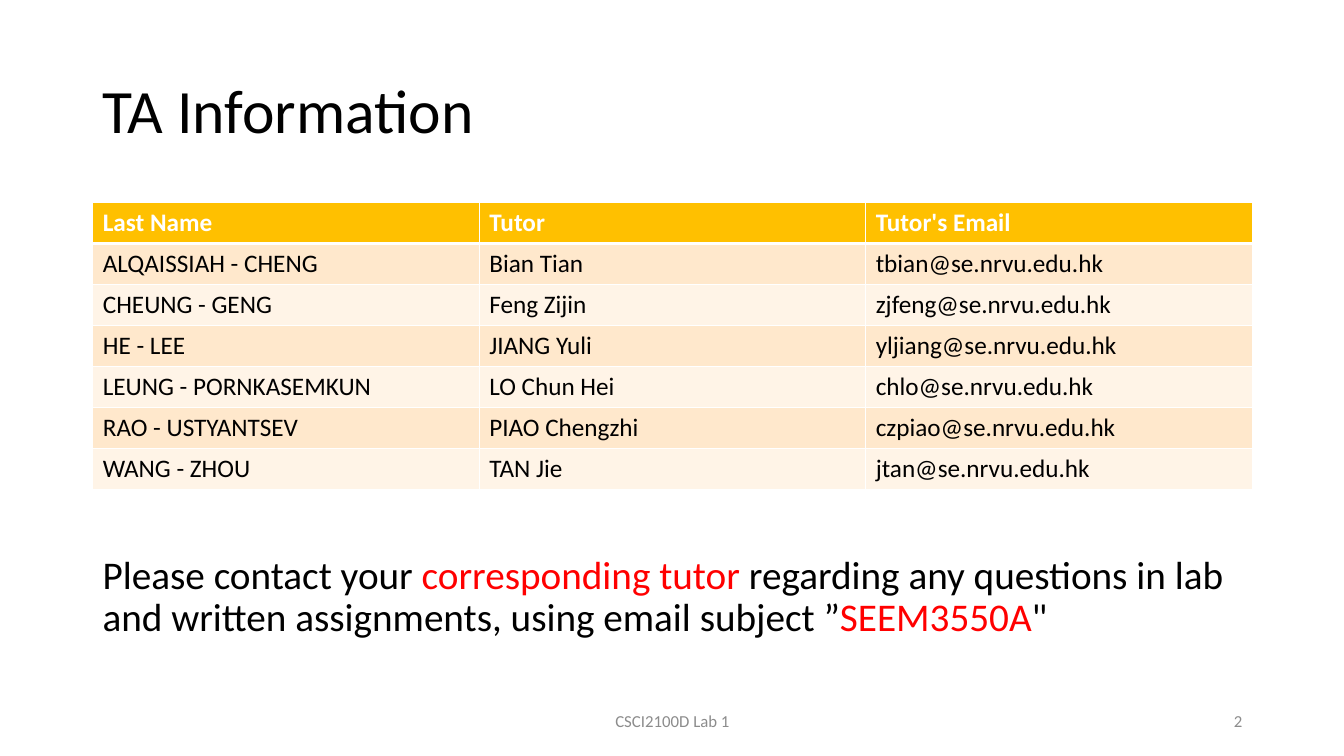
"""Build the TA Information slide with its tutor table and contact note."""
import pptx
import pptx.dml.color
import pptx.enum.text
import pptx.oxml
import pptx.oxml.ns
import pptx.util

Inches = pptx.util.Inches
Pt = pptx.util.Pt
RGBColor = pptx.dml.color.RGBColor
Align = pptx.enum.text.PP_ALIGN
Anchor = pptx.enum.text.MSO_ANCHOR

BLACK = RGBColor(0x00, 0x00, 0x00)
WHITE = RGBColor(0xFF, 0xFF, 0xFF)
GREY = RGBColor(0x8C, 0x8C, 0x8C)
RED = RGBColor(0xFF, 0x00, 0x00)
GOLD = RGBColor(0xFF, 0xC0, 0x00)
PEACH = RGBColor(0xFF, 0xE8, 0xCC)
CREAM = RGBColor(0xFF, 0xF4, 0xE7)

LEFT, WIDTH = 0.92, 11.5


def add_spans(para, spans, size, bold=False):
    for text, color in spans:
        span = para.add_run()
        span.text = text
        formats = {"name": "Calibri", "size": Pt(size), "bold": bold}
        for name, value in formats.items():
            setattr(span.font, name, value)
        span.font.color.rgb = color


def add_border(cell, side, points):
    border = pptx.oxml.parse_xml(
        f'<a:{side} {pptx.oxml.ns.nsdecls("a")} w="{Pt(points)}">'
        f'<a:solidFill><a:srgbClr val="{WHITE}"/></a:solidFill></a:{side}>'
    )
    cell._tc.get_or_add_tcPr().append(border)


deck = pptx.Presentation()
deck.slide_width = Inches(13.33)
deck.slide_height = Inches(7.5)
slide = deck.slides.add_slide(deck.slide_layouts[6])

note = [
    ("Please contact your ", BLACK),
    ("corresponding tutor", RED),
    (" regarding any questions in lab and written assignments, using email subject ”", BLACK),
    ("SEEM3550A", RED),
    ('"', BLACK),
]
texts = [
    ((LEFT, 0.4, WIDTH, 1.45), [("TA Information", BLACK)], 44,
     {"vertical_anchor": Anchor.MIDDLE}, {"line_spacing": 0.9}),
    ((LEFT, 4.87, WIDTH, 2), note, 28,
     {"margin_top": Inches(0.64)}, {"line_spacing": 0.9}),
    ((4.42, 6.95, 4.5, 0.4), [("CSCI2100D Lab 1", GREY)], 12,
     {"vertical_anchor": Anchor.MIDDLE}, {"alignment": Align.CENTER}),
    ((9.42, 6.95, 3, 0.4), [("2", GREY)], 12,
     {"vertical_anchor": Anchor.MIDDLE}, {"alignment": Align.RIGHT}),
]
for place, spans, size, frame_formats, para_formats in texts:
    box = slide.shapes.add_textbox(*[Inches(length) for length in place])
    frame = box.text_frame
    frame.word_wrap = True
    para = frame.paragraphs[0]
    for target, formats in ((frame, frame_formats), (para, para_formats)):
        for name, value in formats.items():
            setattr(target, name, value)
    add_spans(para, spans, size)

tutors = [
    ("Last Name", "Tutor", "Tutor's Email"),
    ("ALQAISSIAH - CHENG", "Bian Tian", "tbian@se.nrvu.edu.hk"),
    ("CHEUNG - GENG", "Feng Zijin", "zjfeng@se.nrvu.edu.hk"),
    ("HE - LEE", "JIANG Yuli", "yljiang@se.nrvu.edu.hk"),
    ("LEUNG - PORNKASEMKUN", "LO Chun Hei", "chlo@se.nrvu.edu.hk"),
    ("RAO - USTYANTSEV", "PIAO Chengzhi", "czpiao@se.nrvu.edu.hk"),
    ("WANG - ZHOU", "TAN Jie", "jtan@se.nrvu.edu.hk"),
]
table = slide.shapes.add_table(
    len(tutors), 3, Inches(LEFT), Inches(2.01), Inches(WIDTH), Inches(2.85)
).table
for row, entries in enumerate(tutors):
    header = row == 0
    fill = GOLD if header else PEACH if row % 2 else CREAM
    for column, entry in enumerate(entries):
        cell = table.cell(row, column)
        add_border(cell, "lnL", 1)
        add_border(cell, "lnR", 1)
        add_border(cell, "lnT", 3 if row == 1 else 1)
        add_border(cell, "lnB", 3 if header else 1)
        cell.fill.solid()
        cell.fill.fore_color.rgb = fill
        color = WHITE if header else BLACK
        add_spans(cell.text_frame.paragraphs[0], [(entry, color)], 18, header)

deck.save("out.pptx")
